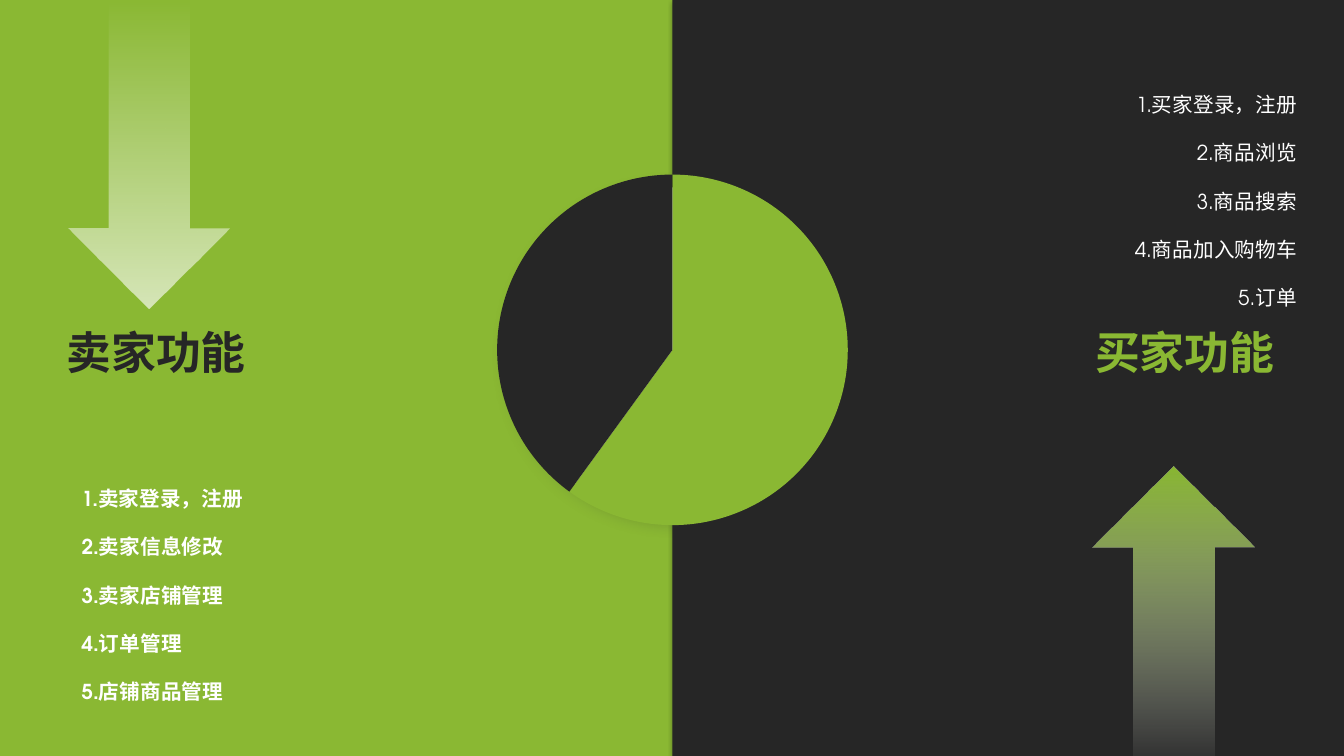
from lxml.etree import SubElement as Sub
from pptx import Presentation
from pptx.chart.data import CategoryChartData as Data
from pptx.dml.color import RGBColor as RGB
from pptx.enum.chart import XL_CHART_TYPE as Kind
from pptx.enum.shapes import MSO_SHAPE as Shape
from pptx.enum.text import MSO_AUTO_SIZE as Fit, PP_ALIGN as Align
from pptx.oxml.ns import qn
from pptx.util import Inches, Pt

HUES = {"green": "8AB833", "dark": "262626", "white": "FFFFFF", "black": "000000"}
FONT = "TeX Gyre Adventor"
HEAD = {"size": Pt(32), "bold": True}
ITEM = {"size": Pt(14.7), "bold": False}
GAPS = {"line_spacing": 1.5, "space_before": Pt(8)}
PADS = {"margin_left": Inches(0.13), "margin_right": Inches(0.13),
        "margin_top": Inches(0.07), "margin_bottom": Inches(0.07),
        "word_wrap": True, "auto_size": Fit.SHAPE_TO_FIT_TEXT}

SELL = ["卖家登录，注册", "卖家信息修改", "卖家店铺管理", "订单管理", "店铺商品管理"]
BUY = ["买家登录，注册", "商品浏览", "商品搜索", "商品加入购物车", "订单"]


def hue(name):
    return RGB.from_string(HUES[name])


def apply(obj, style):
    for key, val in style.items():
        setattr(obj, key, val)


def count(items):
    return [f"{num}.{item}" for num, item in enumerate(items, 1)]


class Deck:
    def __init__(self):
        self.prs = Presentation()
        self.prs.slide_width = Inches(13.33)
        self.prs.slide_height = Inches(7.5)
        self.slide = self.prs.slides.add_slide(self.prs.slide_layouts[6])
        back = self.slide.background.fill
        back.solid()
        back.fore_color.rgb = hue("green")

    def shape(self, kind, box, fill=None):
        item = self.slide.shapes.add_shape(kind, *map(Inches, box))
        item.shadow.inherit = False
        item.line.fill.background()
        if fill:
            item.fill.solid()
            item.fill.fore_color.rgb = hue(fill)
        return item

    def shade(self, item, color, alpha, blur, dist, angle):
        effect = item._element.spPr.find(qn("a:effectLst"))
        outer = Sub(effect, qn("a:outerShdw"), blurRad=str(Pt(blur)),
                    dist=str(Pt(dist)), dir=str(angle * 60000),
                    algn="ctr", rotWithShape="0")
        tint = Sub(outer, qn("a:srgbClr"), val=HUES[color])
        Sub(tint, qn("a:alpha"), val=str(alpha * 1000))

    def arrow(self, box, stops, turn=0):
        item = self.shape(Shape.UP_ARROW, box)
        item.rotation = turn
        item.fill.gradient()
        item.fill.gradient_angle = 270
        for place, (stop, (color, alpha)) in enumerate(zip(item.fill.gradient_stops, stops)):
            stop.position = place
            stop.color.rgb = hue(color)
        tints = item._element.spPr.find(qn("a:gradFill")).iter(qn("a:srgbClr"))
        for tint, (color, alpha) in zip(tints, stops):
            Sub(tint, qn("a:alpha"), val=str(alpha * 1000))

    def pie(self, box, vals, colors, plot):
        data = Data()
        data.categories = [str(num) for num in range(1, len(vals) + 1)]
        data.add_series("Series 1", vals)
        chart = self.slide.shapes.add_chart(Kind.PIE, *map(Inches, box), data).chart
        chart.has_legend = chart.has_title = False
        apply(chart.font, {"name": FONT, "size": Pt(18)})
        chart.font.color.rgb = hue("black")
        chart.plots[0].vary_by_categories = True
        for num, color in enumerate(colors):
            form = chart.plots[0].series[0].points[num].format
            form.fill.solid()
            form.fill.fore_color.rgb = hue(color)
            form.line.fill.background()
        # Fix the size of the disc inside the chart frame
        area = chart._chartSpace.chart.plotArea
        lay = area.find(qn("c:layout"))
        if lay is None:
            lay = area.makeelement(qn("c:layout"))
            area.insert(0, lay)
        hand = Sub(lay, qn("c:manualLayout"))
        rules = {"layoutTarget": "inner", "xMode": "edge", "yMode": "edge", **plot}
        for key, val in rules.items():
            Sub(hand, qn(f"c:{key}"), val=str(val))

    def text(self, box, lines, color, font, side=Align.LEFT, gaps=None):
        frame = self.slide.shapes.add_textbox(*map(Inches, box)).text_frame
        apply(frame, PADS)
        for num, line in enumerate(lines):
            para = frame.add_paragraph() if num else frame.paragraphs[0]
            apply(para, {"alignment": side, **(gaps or {})})
            run = para.add_run()
            run.text = line
            apply(run.font, {"name": FONT, **font})
            run.font.color.rgb = hue(color)


def main():
    deck = Deck()

    # Dark right half
    half = deck.shape(Shape.RECTANGLE, (6.67, 0, 6.67, 7.5), "dark")
    deck.shade(half, "black", 35, 3.1, 1.8, 90)

    # Fading arrows
    deck.arrow((10.84, 4.63, 1.6, 3.06), [("green", 100), ("white", 0)])
    deck.arrow((0.68, 0, 1.6, 3.06), [("white", 66), ("white", 0)], 180)

    # Pie on its shaded disc
    disc = deck.shape(Shape.OVAL, (5.04, 1.86, 3.26, 3.26), "white")
    deck.shade(disc, "dark", 40, 15, 3, 40)
    deck.pie((3.52, 1.62, 6.3, 3.74), (60, 40), ("green", "dark"),
             {"x": 0.22, "y": 0.03, "w": 0.56, "h": 0.93})

    # Seller side
    deck.text((0.68, 4.63, 4.18, 2.44), count(SELL), "white",
              {**ITEM, "bold": True}, gaps=GAPS)
    deck.text((0.53, 3.15, 4.18, 0.67), ["卖家功能"], "dark", HEAD)

    # Buyer side
    deck.text((9, 0.72, 3.99, 2.44), count(BUY), "white", ITEM, Align.RIGHT, GAPS)
    deck.text((8.78, 3.15, 3.99, 0.67), ["买家功能"], "green", HEAD, Align.RIGHT)

    deck.prs.save("out.pptx")


if __name__ == "__main__":
    main()
